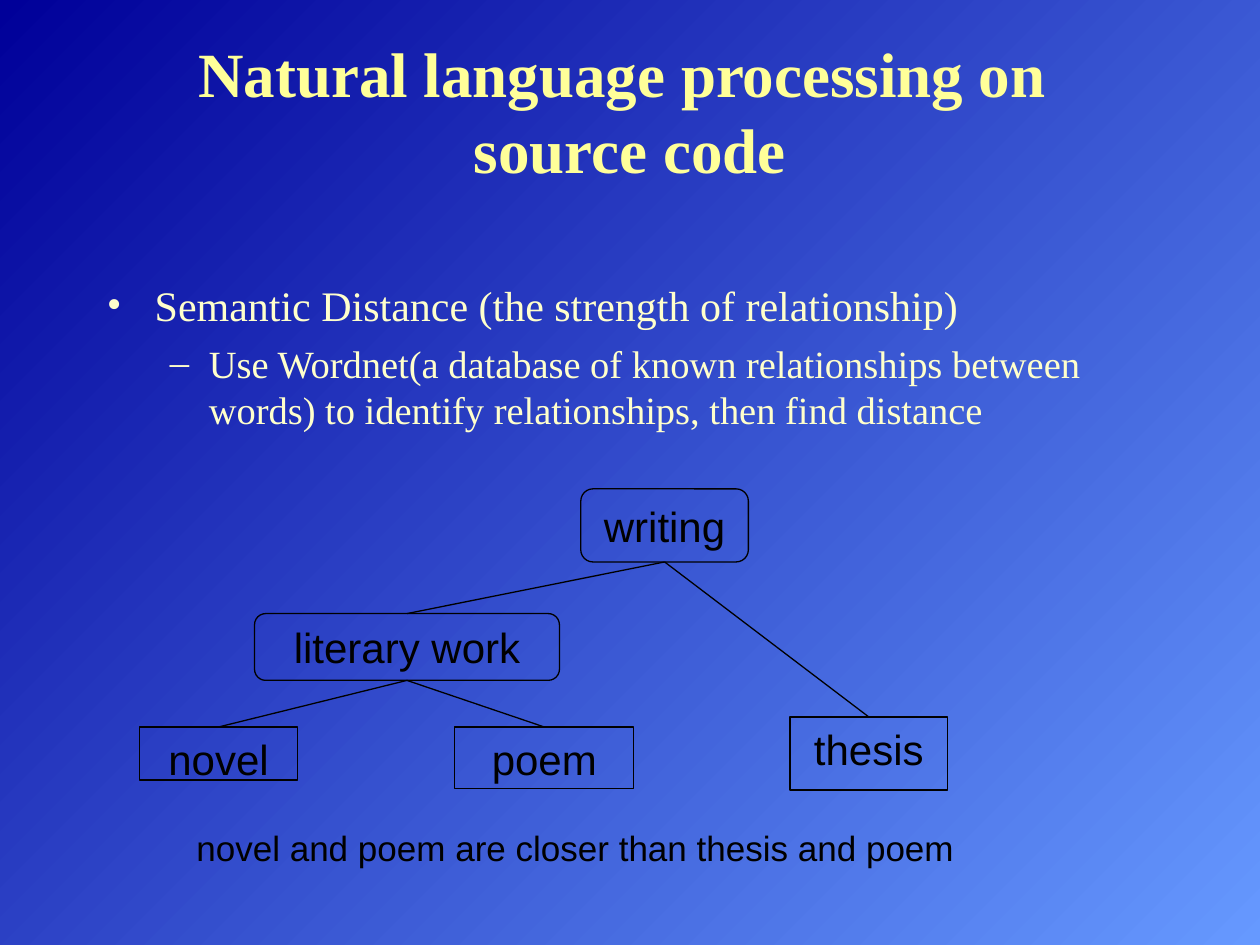
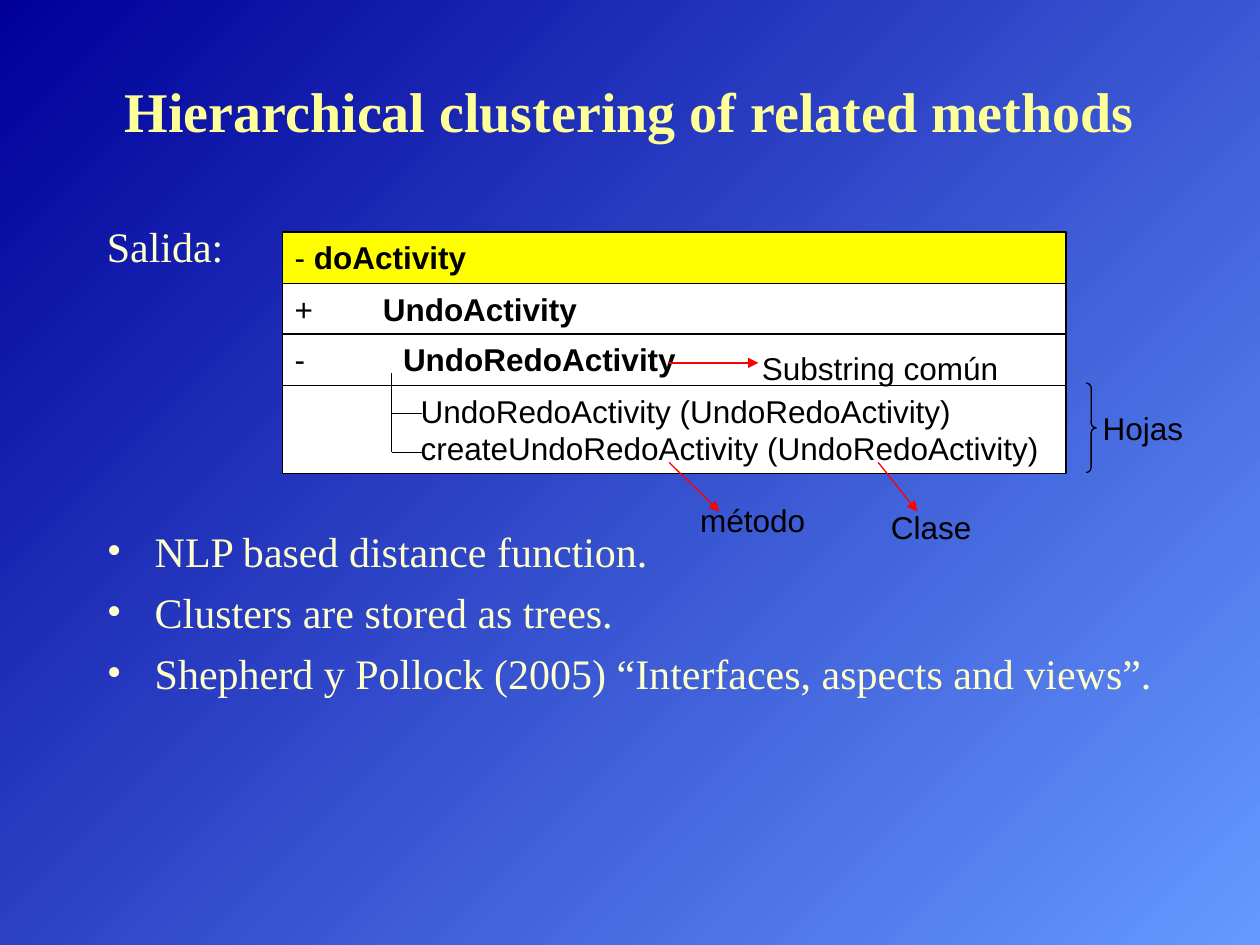
from lxml import etree
from pptx import Presentation
from pptx.dml.color import RGBColor
from pptx.enum.shapes import MSO_CONNECTOR, MSO_SHAPE
from pptx.enum.text import MSO_ANCHOR, PP_ALIGN
from pptx.oxml.ns import qn
from pptx.util import Inches, Pt

STRAIGHT = MSO_CONNECTOR.STRAIGHT
RECT, ROUND, BRACE = MSO_SHAPE.RECTANGLE, MSO_SHAPE.ROUNDED_RECTANGLE, MSO_SHAPE.RIGHT_BRACE
TOP, MIDDLE = MSO_ANCHOR.TOP, MSO_ANCHOR.MIDDLE
LEFT, CENTER = PP_ALIGN.LEFT, PP_ALIGN.CENTER
TOP_SIDE, BOTTOM_SIDE = 0, 2

COLORS = {
    "sky": "6699FF", "navy": "000099", "title": "FFFF99", "body": "FFFFCC",
    "ink": "000000", "arrow": "FF0000", "header": "FFFF00", "row": "FFFFFF",
}
SERIF, SANS = "Times New Roman", "Arial"
LINE_WIDTH = 0.75
TITLE_BOX = (0.75, 0.25, 8.5, 1.25)
BULLETS = {
    0: {"char": "•", "margin": 0.38, "hang": 0.38, "size": 24, "before": 6},
    1: {"char": "–", "margin": 0.81, "hang": 0.31, "size": 22, "before": 5.5},
}

SEMANTIC_TITLE = "Natural language processing on \vsource code"
SEMANTIC_POINTS = [
    (0, "Semantic Distance (the strength of relationship)"),
    (1, "Use Wordnet(a database of known relationships between words) "
        "to identify relationships, then find distance"),
]
WORDS = {
    "novel": (RECT, TOP, (1.11, 5.77, 1.25, 0.42)),
    "poem": (RECT, TOP, (3.61, 5.77, 1.42, 0.49)),
    "literary work": (ROUND, MIDDLE, (2.02, 4.87, 2.42, 0.53)),
    "thesis": (RECT, TOP, (6.27, 5.69, 1.25, 0.58)),
    "writing": (ROUND, MIDDLE, (4.61, 3.88, 1.33, 0.58)),
}
WORD_LINKS = [
    ("literary work", "novel"), ("literary work", "poem"),
    ("writing", "literary work"), ("writing", "thesis"),
]
CONCLUSION = "novel and poem are closer than thesis and poem"

CLUSTER_TITLE = "Hierarchical clustering of related methods"
OUTPUT_LABEL = "Salida:"
CLUSTER_POINTS = [
    (0, "NLP based distance function."),
    (0, "Clusters are stored as trees."),
    (0, "Shepherd y Pollock (2005) “Interfaces, aspects and views”."),
]
CLUSTER_LEFT, CLUSTER_TOP, CLUSTER_WIDTH = 2.24, 1.84, 6.22
CLUSTER_ROWS = [
    ("header", 0.41, 1, [[("- ", False), ("doActivity", True)]]),
    ("row", 0.4, 0.7, [[("+\t", False), ("UndoActivity", True)]]),
    ("row", 0.41, 0.86, [[("-\t", False), ("UndoRedoActivity", True)]]),
    ("row", 0.7, 1, [[("\tUndoRedoActivity (UndoRedoActivity)", False)],
                     [("\tcreateUndoRedoActivity (UndoRedoActivity)", False)]]),
]
TRUNK_X, TRUNK_TOP, TWIG_END = 3.11, 2.96, 3.35
TWIG_YS = [3.28, 3.59]
BRACE_BOX = (8.62, 3.04, 0.08, 0.71)
CALLOUTS = [
    ("Hojas", (8.6, 3.2, 0.94, 0.4), None),
    ("método", (5.41, 3.93, 1.13, 0.4), (5.31, 3.67, 5.71, 4.06)),
    ("Clase", (6.92, 3.98, 0.94, 0.4), (6.97, 3.67, 7.28, 4.06)),
    ("Substring común", (5.9, 2.72, 2.17, 0.4), (5.31, 2.88, 6.02, 2.88)),
]


def rgb(name):
    return RGBColor.from_string(COLORS[name])


def inches(values):
    return [Inches(value) for value in values]


def apply(target, values):
    for name, value in values.items():
        setattr(target, name, value)


def style_run(run, size, color="ink", font=SANS, bold=False):
    apply(run.font, {"size": Pt(size), "name": font, "bold": bold})
    run.font.color.rgb = rgb(color)


def prepare_frame(shape, anchor=TOP):
    frame = shape.text_frame
    apply(frame, {
        "word_wrap": True, "vertical_anchor": anchor,
        "margin_left": Inches(0.1), "margin_right": Inches(0.1),
        "margin_top": Inches(0.05), "margin_bottom": Inches(0.05),
    })
    return frame


def write(shape, text, size, align=LEFT, anchor=TOP, **look):
    frame = prepare_frame(shape, anchor)
    frame.text = text
    paragraph = frame.paragraphs[0]
    paragraph.alignment = align
    for run in paragraph.runs:
        style_run(run, size, **look)


def add_text(slide, box, text, size, **options):
    write(slide.shapes.add_textbox(*inches(box)), text, size, **options)


def add_outlined(slide, kind, box, fill=None):
    shape = slide.shapes.add_shape(kind, *inches(box))
    shape.shadow.inherit = False
    if fill:
        shape.fill.solid()
        shape.fill.fore_color.rgb = rgb(fill)
    else:
        shape.fill.background()
    shape.line.color.rgb = rgb("ink")
    shape.line.width = Pt(LINE_WIDTH)
    return shape


def add_line(slide, ends=(0, 0, 0, 0), color="ink", arrow=False):
    line = slide.shapes.add_connector(STRAIGHT, *inches(ends))
    line.line.color.rgb = rgb(color)
    line.line.width = Pt(LINE_WIDTH)
    if arrow:
        etree.SubElement(line.line._ln, qn("a:tailEnd"), type="triangle")
    etree.SubElement(line._element.spPr, qn("a:effectLst"))
    return line


def add_bullets(slide, box, points):
    frame = prepare_frame(slide.shapes.add_textbox(*inches(box)))
    for index, (level, text) in enumerate(points):
        bullet = BULLETS[level]
        paragraph = frame.paragraphs[0] if index == 0 else frame.add_paragraph()
        apply(paragraph, {"level": level, "space_before": Pt(bullet["before"])})
        properties = paragraph._p.get_or_add_pPr()
        properties.set("marL", str(Inches(bullet["margin"])))
        properties.set("indent", str(-Inches(bullet["hang"])))
        etree.SubElement(properties, qn("a:buFont"), typeface=SERIF)
        etree.SubElement(properties, qn("a:buChar"), char=bullet["char"])
        run = paragraph.add_run()
        run.text = text
        style_run(run, bullet["size"], "body", SERIF)


def add_cluster_row(slide, top, fill, height, tab, lines):
    row = add_outlined(slide, RECT, (CLUSTER_LEFT, top, CLUSTER_WIDTH, height), fill)
    frame = prepare_frame(row)
    for index, parts in enumerate(lines):
        paragraph = frame.paragraphs[0] if index == 0 else frame.add_paragraph()
        paragraph.alignment = LEFT
        stops = etree.SubElement(paragraph._p.get_or_add_pPr(), qn("a:tabLst"))
        etree.SubElement(stops, qn("a:tab"), pos=str(Inches(tab)), algn="l")
        for text, bold in parts:
            run = paragraph.add_run()
            run.text = text
            style_run(run, 18, bold=bold)


def start_slide(deck, title, size):
    slide = deck.slides.add_slide(deck.slide_layouts[6])
    fill = slide.background.fill
    fill.gradient()
    fill.gradient_angle = 135
    for stop, position, color in zip(fill.gradient_stops, (0, 1), ("sky", "navy")):
        stop.position = position
        stop.color.rgb = rgb(color)
    add_text(slide, TITLE_BOX, title, size, align=CENTER, anchor=MIDDLE,
             color="title", font=SERIF, bold=True)
    return slide


def build_semantic_distance(deck):
    slide = start_slide(deck, SEMANTIC_TITLE, 36)
    add_bullets(slide, (0.75, 2.17, 8.5, 1.5), SEMANTIC_POINTS)
    nodes = {}
    for word, (kind, anchor, box) in WORDS.items():
        nodes[word] = add_outlined(slide, kind, box)
        write(nodes[word], word, 24, align=CENTER, anchor=anchor)
    for parent, child in WORD_LINKS:
        link = add_line(slide)
        link.begin_connect(nodes[parent], BOTTOM_SIDE)
        link.end_connect(nodes[child], TOP_SIDE)
    add_text(slide, (1.46, 6.51, 6.75, 0.44), CONCLUSION, 20)


def build_clustering(deck):
    slide = start_slide(deck, CLUSTER_TITLE, 32)
    add_text(slide, (0.75, 1.7, 1.4, 0.5), OUTPUT_LABEL, 24, color="body", font=SERIF)
    add_bullets(slide, (0.75, 4.12, 8.5, 1.6), CLUSTER_POINTS)
    top = CLUSTER_TOP
    for fill, height, tab, lines in CLUSTER_ROWS:
        add_cluster_row(slide, top, fill, height, tab, lines)
        top += height
    add_line(slide, (TRUNK_X, TRUNK_TOP, TRUNK_X, TWIG_YS[-1]))
    for y in TWIG_YS:
        add_line(slide, (TRUNK_X, y, TWIG_END, y))
    add_outlined(slide, BRACE, BRACE_BOX).adjustments[0] = 0.5
    for text, box, arrow in CALLOUTS:
        if arrow:
            add_line(slide, arrow, "arrow", arrow=True)
        add_text(slide, box, text, 18, align=CENTER)


def main():
    deck = Presentation()
    deck.slide_width, deck.slide_height = inches((10, 7.5))
    build_semantic_distance(deck)
    build_clustering(deck)
    deck.save("out.pptx")


if __name__ == "__main__":
    main()
